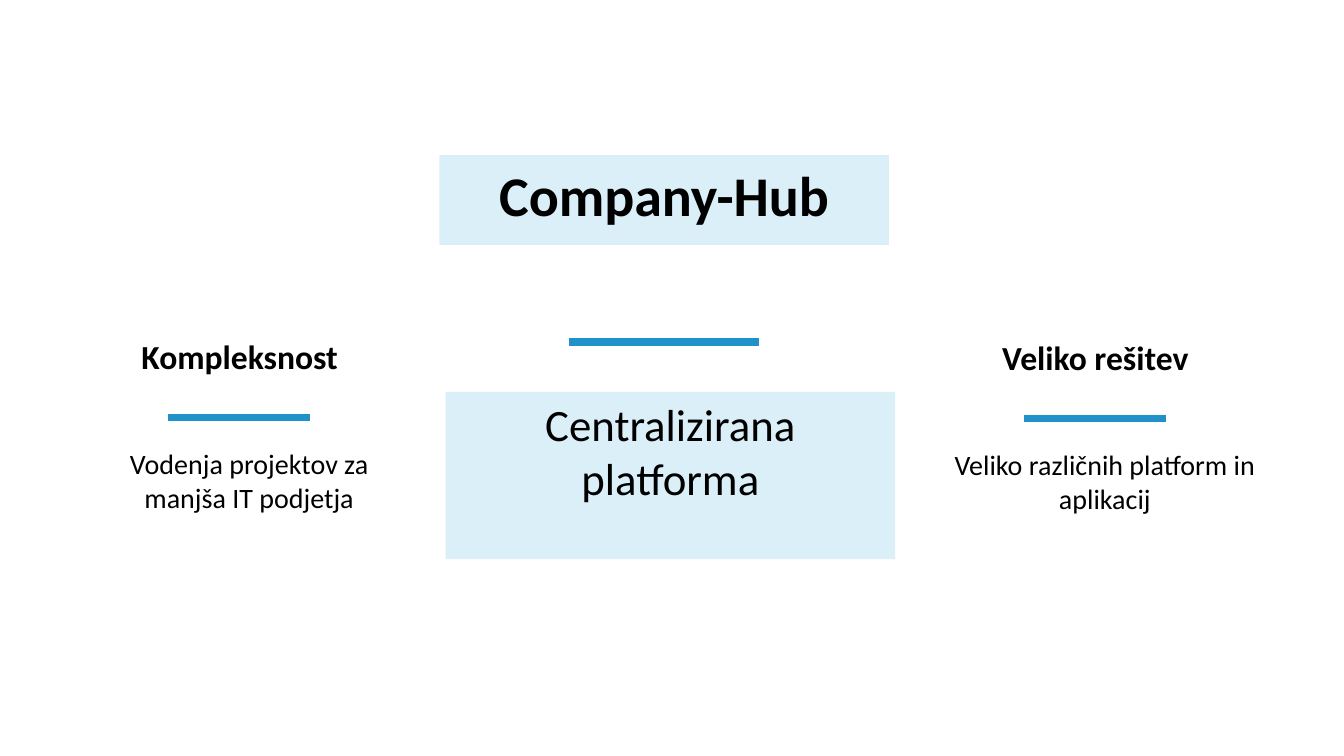
from lxml.etree import SubElement
from pptx import Presentation
from pptx.dml.color import RGBColor
from pptx.enum.shapes import MSO_CONNECTOR, MSO_SHAPE
from pptx.enum.text import MSO_ANCHOR, PP_ALIGN
from pptx.oxml.ns import qn
from pptx.util import Pt

COLOURS = {"text": "000000", "panel": "DBEFF9", "rule": "2191C9"}
HEADING = {"size": Pt(24), "bold": True}
BODY = {"size": Pt(20), "bold": False}
HUB = {"size": Pt(40), "bold": True}
PLATFORM = {"size": Pt(32), "bold": False}
FRAME = {
    "word_wrap": True,
    "vertical_anchor": MSO_ANCHOR.TOP,
    "margin_left": Pt(7.2),
    "margin_right": Pt(7.2),
    "margin_top": Pt(3.6),
    "margin_bottom": Pt(3.6),
}


class HubSlide:
    """Draws styled titles, panels, labels and rules on one slide."""

    def __init__(self, slide):
        self.slide = slide
        self.font = "Calibri"

    def colour(self, key):
        return RGBColor.from_string(COLOURS[key])

    def set_wording(self, holder, wording, font_format):
        frame = holder.text_frame
        for name, value in FRAME.items():
            setattr(frame, name, value)
        paragraph = frame.paragraphs[0]
        paragraph.alignment = PP_ALIGN.CENTER
        run = paragraph.add_run()
        run.text = wording
        for name, value in {"name": self.font, **font_format}.items():
            setattr(run.font, name, value)
        run.font.color.rgb = self.colour("text")

    def paint(self, holder):
        holder.fill.solid()
        holder.fill.fore_color.rgb = self.colour("panel")
        holder.line.fill.background()

    def title(self, wording, left, top, width, height):
        title = self.slide.shapes.title
        place = {"left": left, "top": top, "width": width, "height": height}
        for name, value in place.items():
            setattr(title, name, Pt(value))
        self.paint(title)
        self.set_wording(title, wording, HUB)

    def panel(self, wording, *box):
        panel = self.slide.shapes.add_shape(MSO_SHAPE.RECTANGLE, *map(Pt, box))
        panel.shadow.inherit = False
        self.paint(panel)
        self.set_wording(panel, wording, PLATFORM)

    def label(self, shapes, wording, font_format, *box):
        self.set_wording(shapes.add_textbox(*map(Pt, box)), wording, font_format)

    def rule(self, shapes, left, top, length):
        rule = shapes.add_connector(
            MSO_CONNECTOR.STRAIGHT, Pt(left), Pt(top), Pt(left + length), Pt(top)
        )
        rule.line.width = Pt(5.25)
        rule.line.color.rgb = self.colour("rule")
        SubElement(rule._element.spPr, qn("a:effectLst"))

    def column(self, heading, body, left, top):
        shapes = self.slide.shapes.add_group_shape().shapes
        self.label(shapes, heading, HEADING, left, top, 240, 36)
        self.label(shapes, body, BODY, left + 6.8, top + 79.2, 240, 55.4)
        self.rule(shapes, left + 69, top + 62, 101.6)


def main():
    deck = Presentation()
    deck.slide_width, deck.slide_height = Pt(960), Pt(540)
    hub = HubSlide(deck.slides.add_slide(deck.slide_layouts[5]))
    hub.title("Company-Hub", 313.8, 110.8, 321.2, 64.2)
    hub.column("Veliko rešitev", "Veliko različnih platform in aplikacij", 662.4, 236.9)
    hub.column("Kompleksnost", "Vodenja projektov za manjša IT podjetja", 51.2, 236.2)
    hub.panel("Centralizirana platforma", 318.3, 280, 321.2, 119.4)
    hub.rule(hub.slide.shapes, 406.4, 244.2, 135.8)
    deck.save("out.pptx")


if __name__ == "__main__":
    main()
